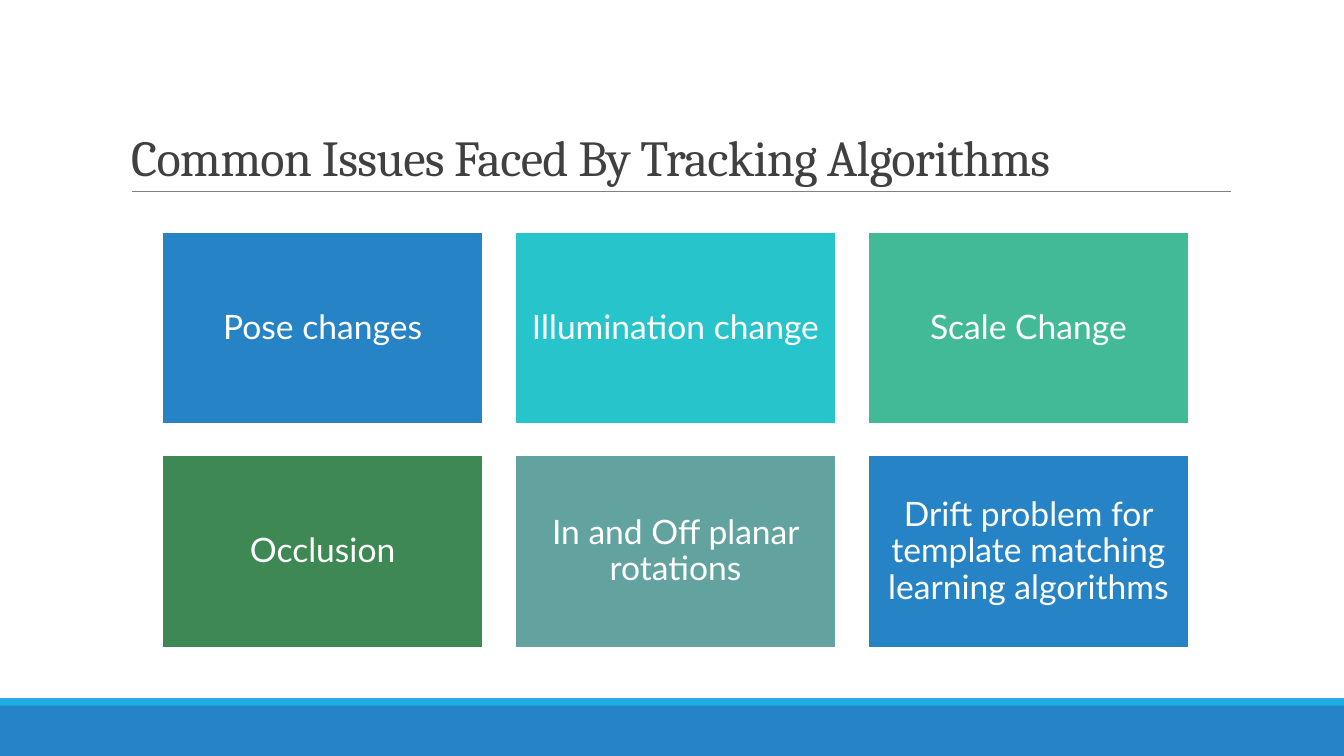
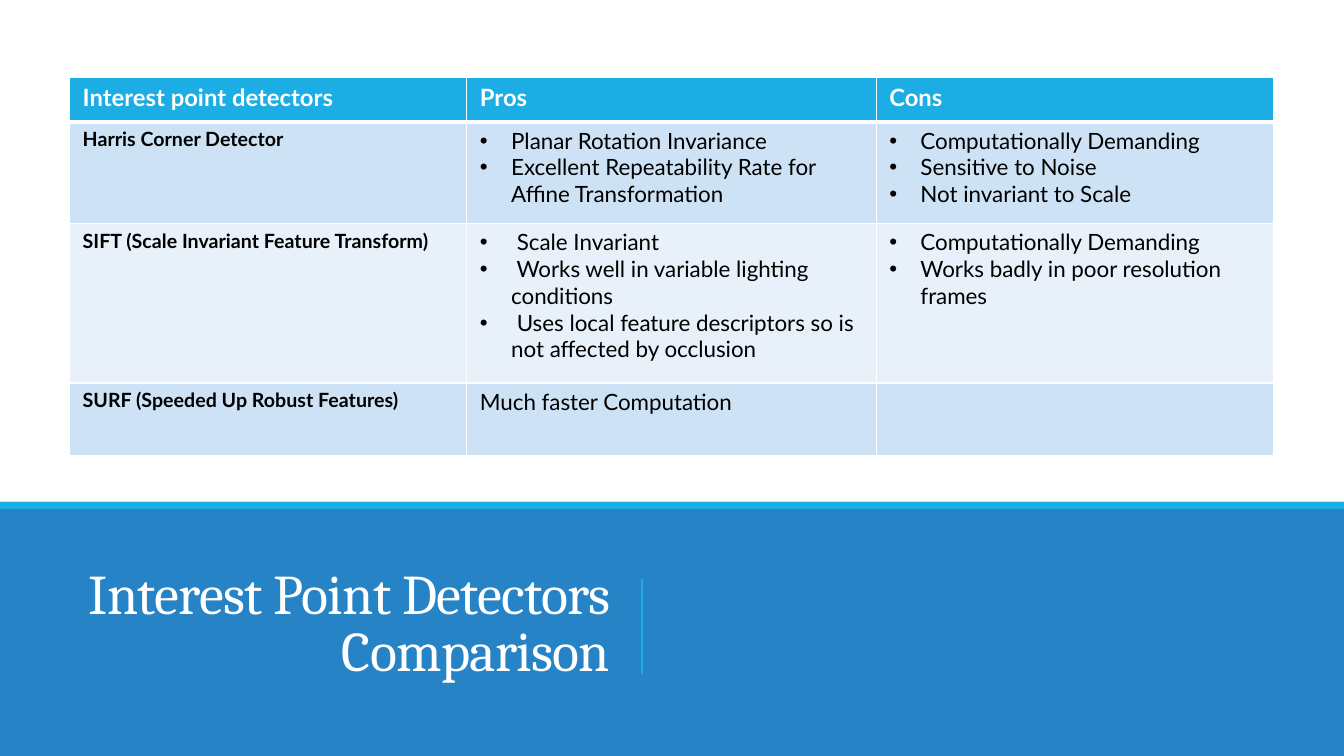
from dataclasses import dataclass

from pptx import Presentation
from pptx.dml.color import RGBColor
from pptx.enum.shapes import MSO_CONNECTOR, MSO_SHAPE
from pptx.enum.text import MSO_ANCHOR, MSO_AUTO_SIZE, PP_ALIGN
from pptx.oxml.ns import qn
from pptx.util import Inches, Pt
from lxml.etree import SubElement

COLORS = {
    "blue": "2683C6", "sky": "1CADE4", "turquoise": "28C4CC", "mint": "42BA97",
    "green": "3E8853", "sage": "62A39F", "white": "FFFFFF", "black": "000000",
    "dark": "404040", "gray": "808080", "row_dark": "CDE3F5", "row_light": "E8F1FA",
}
TITLE_FONT, BODY_FONT = "Cambria", "Lato"
WIDTH, HEIGHT = 13.33, 7.5
STRIP_HEIGHT = 0.07


@dataclass
class Tile:
    text: str
    color: str


@dataclass
class TitleStyle:
    left: float
    top: float
    width: float
    height: float
    size: int
    color: str
    align: PP_ALIGN
    anchor: MSO_ANCHOR


@dataclass
class Detector:
    name: str
    pros: list[str]
    cons: list[str]
    height: float
    bulleted: bool = True


TILES = [
    Tile("Pose changes", "blue"),
    Tile("Illumination change", "turquoise"),
    Tile("Scale Change", "mint"),
    Tile("Occlusion", "green"),
    Tile("In and Off planar rotations", "sage"),
    Tile("Drift problem for template matching learning algorithms", "blue"),
]
HEADINGS = ["Interest point detectors", "Pros", "Cons"]
DETECTORS = [
    Detector("Harris Corner Detector",
             ["Planar Rotation Invariance",
              "Excellent Repeatability Rate for Affine Transformation"],
             ["Computationally Demanding", "Sensitive to Noise", "Not invariant to Scale"],
             1.01),
    Detector("SIFT (Scale Invariant Feature Transform)",
             [" Scale Invariant",
              " Works well in variable lighting conditions",
              " Uses local feature descriptors so is not affected by occlusion"],
             ["Computationally Demanding", "Works badly in poor resolution frames"],
             1.58),
    Detector("SURF (Speeded Up Robust Features)", ["Much faster Computation"], [],
             0.72, bulleted=False),
]
HEADER_HEIGHT = 0.44
COLUMN_WIDTHS = [3.94, 4.06, 3.94]

ISSUES_TITLE = TitleStyle(1.2, 0.31, 11, 1.59, 36, "dark", PP_ALIGN.LEFT, MSO_ANCHOR.BOTTOM)
DETECTORS_TITLE = TitleStyle(0.69, 5.36, 5.46, 1.7, 40, "white", PP_ALIGN.RIGHT, MSO_ANCHOR.MIDDLE)


def rgb(name: str) -> RGBColor:
    return RGBColor.from_string(COLORS[name])


def style_font(font, name: str, size: int, color: str, bold: bool = False) -> None:
    font.name, font.size, font.bold = name, Pt(size), bold
    font.color.rgb = rgb(color)


# Shared parts
def add_box(page, left: float, top: float, width: float, height: float, color: str):
    box = page.shapes.add_shape(MSO_SHAPE.RECTANGLE, Inches(left), Inches(top),
                                Inches(width), Inches(height))
    box.shadow.inherit = False
    box.fill.solid()
    box.fill.fore_color.rgb = rgb(color)
    box.line.fill.background()
    return box


def add_band(page, top: float) -> None:
    """Blue band from top to the slide's bottom, with a bright strip along its edge."""
    add_box(page, 0, top, WIDTH, HEIGHT - top, "blue")
    add_box(page, 0, top, WIDTH, STRIP_HEIGHT, "sky")


def add_rule(page, x1: float, y1: float, x2: float, y2: float, color: str, width: float) -> None:
    rule = page.shapes.add_connector(MSO_CONNECTOR.STRAIGHT, Inches(x1), Inches(y1),
                                     Inches(x2), Inches(y2))
    rule.line.color.rgb = rgb(color)
    rule.line.width = Pt(width)
    SubElement(rule.element.spPr, qn("a:effectLst"))


def set_title(page, text: str, style: TitleStyle) -> None:
    title = page.shapes.title
    title.left, title.top = Inches(style.left), Inches(style.top)
    title.width, title.height = Inches(style.width), Inches(style.height)
    frame = title.text_frame
    frame.text = text
    frame.word_wrap = True
    frame.auto_size = MSO_AUTO_SIZE.NONE
    frame.vertical_anchor = style.anchor
    para = frame.paragraphs[0]
    para.alignment, para.line_spacing = style.align, 0.85
    span = para.runs[0]
    style_font(span.font, TITLE_FONT, style.size, style.color)
    span.font._element.set("spc", "-50")
    # Bring the title in front of the band
    title.element.getparent().append(title.element)


# Issue tiles
def add_tile(page, tile: Tile, left: float, top: float) -> None:
    box = add_box(page, left, top, 3.18, 1.91, tile.color)
    box.line.color.rgb = rgb("white")
    box.line.width = Pt(1.25)
    frame = box.text_frame
    frame.text = tile.text
    frame.word_wrap = True
    frame.vertical_anchor = MSO_ANCHOR.MIDDLE
    frame.margin_left = frame.margin_right = Inches(0.1)
    frame.margin_top = frame.margin_bottom = Inches(0.1)
    para = frame.paragraphs[0]
    para.alignment, para.line_spacing = PP_ALIGN.CENTER, 0.9
    style_font(para.runs[0].font, BODY_FONT, 24, "white")


# Comparison table
def add_bullet(para) -> None:
    properties = para._p.get_or_add_pPr()
    properties.set("marL", str(Inches(0.31)))
    properties.set("indent", str(-Inches(0.31)))
    SubElement(properties, qn("a:buFont"), typeface="Arial")
    SubElement(properties, qn("a:buChar"), char="•")


def add_borders(cell, top: float, bottom: float) -> None:
    properties = cell._tc.get_or_add_tcPr()
    for side, width in (("L", 1), ("R", 1), ("T", top), ("B", bottom)):
        line = SubElement(properties, qn(f"a:ln{side}"), w=str(Pt(width)))
        fill = SubElement(line, qn("a:solidFill"))
        SubElement(fill, qn("a:srgbClr"), val=COLORS["white"])


def fill_cell(cell, lines: list[str], fill: str, size: int, color: str = "black",
              bold: bool = False, bulleted: bool = False,
              top: float = 1, bottom: float = 1) -> None:
    add_borders(cell, top, bottom)
    cell.fill.solid()
    cell.fill.fore_color.rgb = rgb(fill)
    cell.margin_left = cell.margin_right = Inches(0.13)
    cell.margin_top = cell.margin_bottom = Inches(0.05)
    cell.text_frame.text = "\n".join(lines)
    for para in cell.text_frame.paragraphs:
        if bulleted and lines:
            add_bullet(para)
        style_font(para.font, BODY_FONT, size, color, bold)
        for span in para.runs:
            style_font(span.font, BODY_FONT, size, color, bold)


def add_detector_table(page) -> None:
    heights = [HEADER_HEIGHT] + [detector.height for detector in DETECTORS]
    frame = page.shapes.add_table(len(heights), len(HEADINGS), Inches(0.69), Inches(0.77),
                                  Inches(sum(COLUMN_WIDTHS)), Inches(sum(heights)))
    table = frame.table
    for column, width in zip(table.columns, COLUMN_WIDTHS):
        column.width = Inches(width)
    for row, height in zip(table.rows, heights):
        row.height = Inches(height)
    for index, heading in enumerate(HEADINGS):
        fill_cell(table.cell(0, index), [heading], "sky", 17, "white", bold=True, bottom=3)
    for index, detector in enumerate(DETECTORS, start=1):
        fill = "row_dark" if index % 2 else "row_light"
        top = 3 if index == 1 else 1
        fill_cell(table.cell(index, 0), [detector.name], fill, 14, bold=True, top=top)
        for column, lines in enumerate((detector.pros, detector.cons), start=1):
            fill_cell(table.cell(index, column), lines, fill, 16,
                      bulleted=detector.bulleted, top=top)


# Slides
def build_issues(deck, layout) -> None:
    page = deck.slides.add_slide(layout)
    add_band(page, 6.93)
    add_rule(page, 1.31, 1.9, 12.21, 1.9, "gray", 0.5)
    set_title(page, "Common Issues Faced By Tracking Algorithms", ISSUES_TITLE)
    for index, tile in enumerate(TILES):
        row, column = divmod(index, 3)
        add_tile(page, tile, 1.61 + 3.5 * column, 2.3 + 2.22 * row)


def build_detectors(deck, layout) -> None:
    page = deck.slides.add_slide(layout)
    add_band(page, 4.98)
    set_title(page, "Interest Point Detectors Comparison", DETECTORS_TITLE)
    add_rule(page, 6.37, 5.74, 6.37, 6.69, "sky", 1.25)
    add_detector_table(page)


def main() -> None:
    deck = Presentation()
    deck.slide_width, deck.slide_height = Inches(WIDTH), Inches(HEIGHT)
    title_only = deck.slide_layouts[5]
    build_issues(deck, title_only)
    build_detectors(deck, title_only)
    deck.save("out.pptx")


if __name__ == "__main__":
    main()
